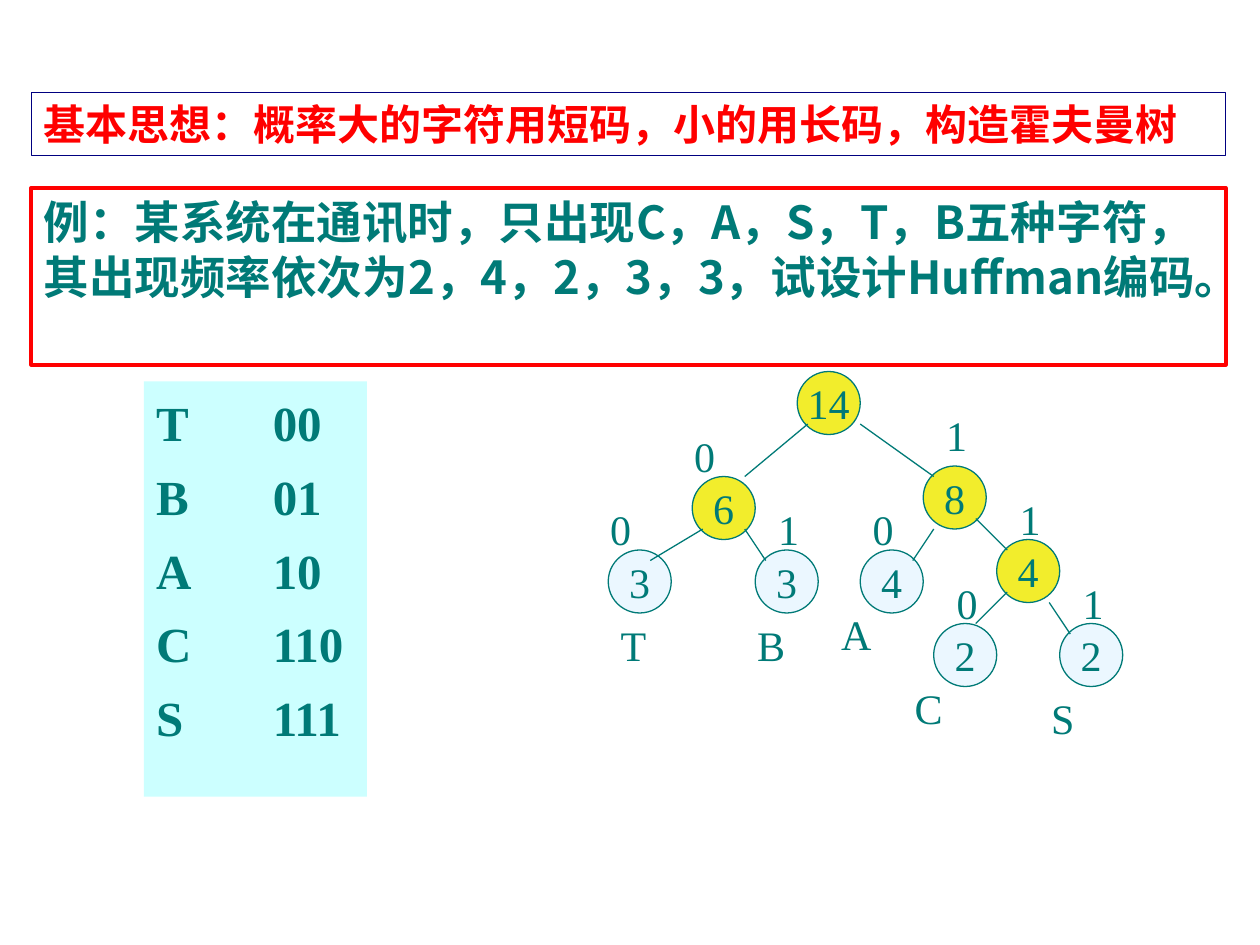
from dataclasses import dataclass

from lxml import etree
from pptx import Presentation
from pptx.dml.color import RGBColor
from pptx.enum.shapes import MSO_CONNECTOR, MSO_SHAPE
from pptx.enum.text import MSO_ANCHOR, MSO_AUTO_SIZE, PP_ALIGN
from pptx.oxml.ns import qn
from pptx.util import Cm, Pt

OVAL, RECTANGLE = MSO_SHAPE.OVAL, MSO_SHAPE.RECTANGLE
STRAIGHT = MSO_CONNECTOR.STRAIGHT
TOP, MIDDLE = MSO_ANCHOR.TOP, MSO_ANCHOR.MIDDLE
LEFT, CENTER = PP_ALIGN.LEFT, PP_ALIGN.CENTER
NO_AUTOFIT = MSO_AUTO_SIZE.NONE


@dataclass(frozen=True)
class Theme:
    teal: str = "007A77"
    red: str = "FF0000"
    navy: str = "000080"
    branch: str = "F2ED2C"
    leaf: str = "EBF7FF"
    panel: str = "CCFFFF"
    chinese: str = "Noto Sans CJK SC"
    latin: str = "Times New Roman"
    title: int = 24
    body: int = 26
    tree: int = 24
    code: int = 28
    thin: float = 0.75
    thick: float = 2.25


THEME = Theme()

IDEA = "基本思想：概率大的字符用短码，小的用长码，构造霍夫曼树"
EXAMPLE = "例：某系统在通讯时，只出现C，A，S，T，B五种字符，其出现频率依次为2，4，2，3，3，试设计Huffman编码。"
CODES = [("T", "00"), ("B", "01"), ("A", "10"), ("C", "110"), ("S", "111")]

# Tree positions are counted in grid steps from the tree's upper left corner.
BRANCHES = [("14", 19, 0), ("8", 31, 9), ("4", 38, 16), ("6", 9, 10)]
LEAVES = [("4", 25, 17), ("2", 32, 24), ("2", 44, 24), ("3", 1, 17), ("3", 15, 17)]
EDGES = [
    (25, 5, 32, 10), (20, 5, 14, 10),
    (32, 15, 30, 18), (36, 14, 39, 17),
    (39, 21, 36, 24), (43, 22, 45, 25),
    (10, 15, 5, 18), (14, 15, 16, 18),
]
BITS = [
    ("0", 8, 5), ("0", 25, 12), ("0", 33, 19), ("0", 0, 12),
    ("1", 32, 3), ("1", 39, 11), ("1", 45, 19), ("1", 16, 12),
]
LETTERS = [("T", 1, 23), ("B", 14, 23), ("A", 22, 22), ("C", 29, 29), ("S", 42, 30)]

STEP = Cm(2.54 / 12)
TREE_LEFT, TREE_TOP = Cm(12.05), Cm(7.49)
NODE_STEPS, LABEL_STEPS = 6, 7
CODE_TAB = Cm(2.35)


def color(value):
    return RGBColor.from_string(value)


def place(shape, left, top, width, height):
    shape.left, shape.top, shape.width, shape.height = left, top, width, height


def outline(shape, value, width):
    shape.line.color.rgb = color(value)
    shape.line.width = Pt(width)


def prepare_frame(shape, anchor=TOP, wrap=True):
    frame = shape.text_frame
    frame.auto_size = NO_AUTOFIT
    frame.word_wrap = wrap
    frame.vertical_anchor = anchor
    frame.margin_left = frame.margin_right = Cm(0.25)
    frame.margin_top = frame.margin_bottom = Cm(0.13)
    return frame


def add_span(para, text, size, value, face, bold=False):
    span = para.add_run()
    span.text = text
    span.font.size = Pt(size)
    span.font.bold = bold
    span.font.color.rgb = color(value)
    span.font.name = face
    properties = span.font._element
    etree.SubElement(properties, qn("a:ea")).set("typeface", face)


def fill_placeholder(box, bounds, text, size, value, border, width):
    place(box, *bounds)
    outline(box, border, width)
    para = prepare_frame(box).paragraphs[0]
    properties = para._p.get_or_add_pPr()
    properties.set("marL", "0")
    properties.set("indent", "0")
    etree.SubElement(properties, qn("a:buNone"))
    para.alignment = LEFT
    para.space_before = Pt(0)
    add_span(para, text, size, value, THEME.chinese, True)


def add_codes(page):
    box = page.shapes.add_shape(RECTANGLE, Cm(2.9), Cm(7.69), Cm(4.5), Cm(8.37))
    box.shadow.inherit = False
    box.fill.solid()
    box.fill.fore_color.rgb = color(THEME.panel)
    box.line.fill.background()
    frame = prepare_frame(box)
    frame.margin_top = Cm(0.23)
    for index, (letter, code) in enumerate(CODES):
        para = frame.paragraphs[0] if index == 0 else frame.add_paragraph()
        tabs = etree.SubElement(para._p.get_or_add_pPr(), qn("a:tabLst"))
        etree.SubElement(tabs, qn("a:tab"), pos=str(CODE_TAB), algn="l")
        para.alignment = LEFT
        para.space_before = Pt(8.5 if index else 0)
        add_span(para, f"{letter}\t{code}", THEME.code, THEME.teal, THEME.latin, True)


def grid_point(column, row):
    return TREE_LEFT + column * STEP, TREE_TOP + row * STEP


def add_node(tree, text, column, row, fill):
    size = NODE_STEPS * STEP
    node = tree.shapes.add_shape(OVAL, *grid_point(column, row), size, size)
    node.shadow.inherit = False
    node.fill.solid()
    node.fill.fore_color.rgb = color(fill)
    outline(node, THEME.teal, THEME.thin)
    para = prepare_frame(node, MIDDLE, False).paragraphs[0]
    para.alignment = CENTER
    add_span(para, text, THEME.tree, THEME.teal, THEME.latin)


def add_edge(tree, start_column, start_row, end_column, end_row):
    start = grid_point(start_column, start_row)
    end = grid_point(end_column, end_row)
    edge = tree.shapes.add_connector(STRAIGHT, *start, *end)
    outline(edge, THEME.teal, THEME.thin)
    etree.SubElement(edge._element.spPr, qn("a:effectLst"))


def add_label(tree, text, column, row):
    box = tree.shapes.add_textbox(
        *grid_point(column, row), LABEL_STEPS * STEP, NODE_STEPS * STEP)
    para = prepare_frame(box).paragraphs[0]
    add_span(para, text, THEME.tree, THEME.teal, THEME.latin)


def add_tree(page):
    tree = page.shapes.add_group_shape()
    for nodes, fill in ((BRANCHES, THEME.branch), (LEAVES, THEME.leaf)):
        for node in nodes:
            add_node(tree, *node, fill)
    for edge in EDGES:
        add_edge(tree, *edge)
    for label in BITS + LETTERS:
        add_label(tree, *label)


def main():
    deck = Presentation()
    deck.slide_width, deck.slide_height = Cm(25.4), Cm(19.05)
    page = deck.slides.add_slide(deck.slide_layouts[1])
    title, body = page.placeholders
    fill_placeholder(title, (Cm(0.63), Cm(1.86), Cm(24.08), Cm(1.27)),
                     IDEA, THEME.title, THEME.red, THEME.navy, THEME.thin)
    fill_placeholder(body, (Cm(0.63), Cm(3.79), Cm(24.08), Cm(3.56)),
                     EXAMPLE, THEME.body, THEME.teal, THEME.red, THEME.thick)
    add_tree(page)
    add_codes(page)
    deck.save("out.pptx")


if __name__ == "__main__":
    main()
